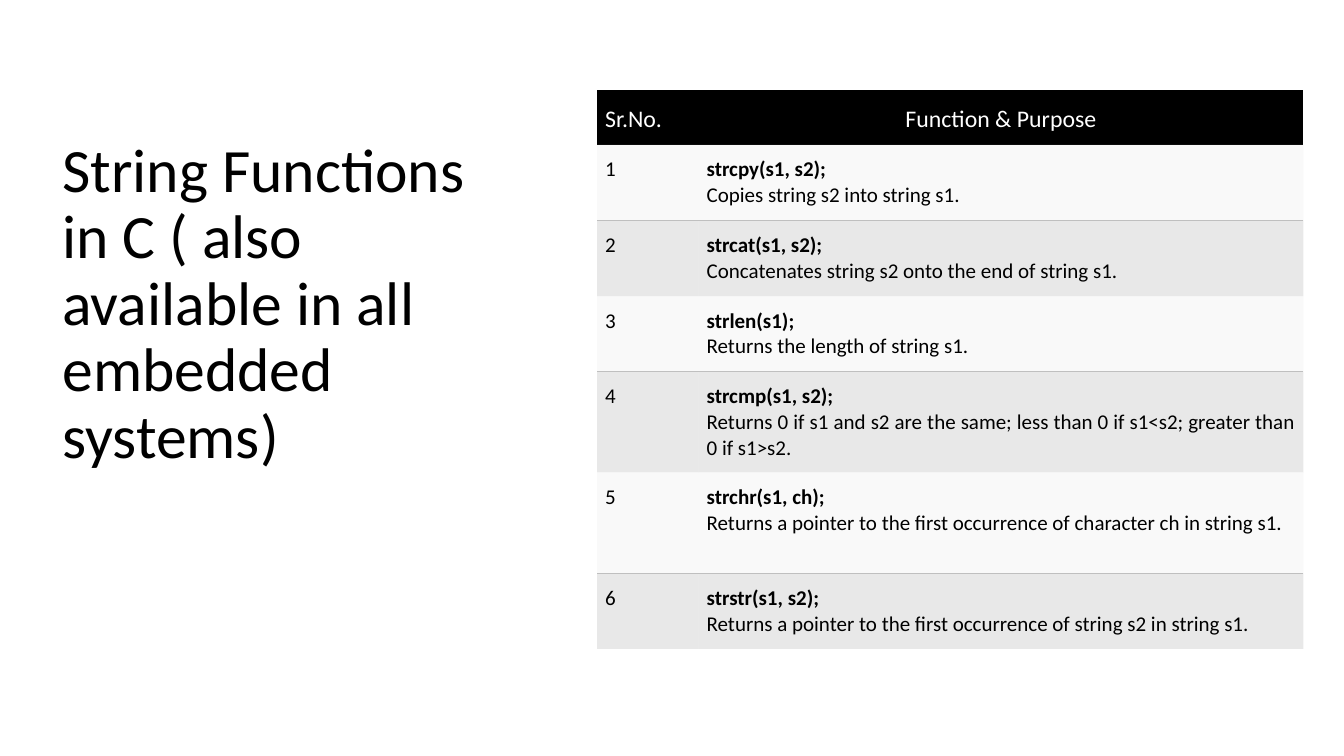
from lxml.etree import SubElement
from pptx import Presentation
from pptx.dml.color import RGBColor
from pptx.enum.text import MSO_ANCHOR as Anchor, PP_ALIGN as Align
from pptx.oxml.ns import qn
from pptx.util import Pt

COLORS = {"black": "000000", "white": "FFFFFF", "light": "F2F2F2", "gray": "BFBFBF"}
TITLE = "String Functions in C ( also available in all embedded systems)"
HEADINGS = ["Sr.No.", "Function & Purpose"]
FUNCTIONS = [
    ("strcpy(s1, s2);", "Copies string s2 into string s1."),
    ("strcat(s1, s2);", "Concatenates string s2 onto the end of string s1."),
    ("strlen(s1);", "Returns the length of string s1."),
    ("strcmp(s1, s2);", "Returns 0 if s1 and s2 are the same; less than 0 if s1<s2; greater than 0 if s1>s2."),
    ("strchr(s1, ch);", "Returns a pointer to the first occurrence of character ch in string s1."),
    ("strstr(s1, s2);", "Returns a pointer to the first occurrence of string s2 in string s1."),
]
COLUMN_WIDTHS = [72.5, 432]
ROW_HEIGHTS = [39, 54, 54, 54, 72, 72, 54]


def write_text(paragraph, text, size=15, color="black", bold=False, align=Align.LEFT, spacing=1.0):
    """Write one formatted run into a paragraph."""
    paragraph.alignment = align
    paragraph.line_spacing = spacing
    run = paragraph.add_run()
    run.text = text
    run.font.name = "Calibri"
    run.font.size = Pt(size)
    run.font.bold = bold
    run.font.color.rgb = RGBColor.from_string(COLORS[color])


def style_cell(cell, fill, opacity=100, ruled_edge=None, anchor=Anchor.TOP):
    """Set margins, borders and fill of a cell, with a gray rule on one edge."""
    cell.margin_left = cell.margin_right = cell.margin_bottom = Pt(5.8)
    cell.margin_top = Pt(8.7)
    cell.vertical_anchor = anchor
    properties = cell._tc.get_or_add_tcPr()
    for edge in ("lnL", "lnR", "lnT", "lnB"):
        line = SubElement(properties, qn(f"a:{edge}"), w=str(Pt(1)))
        if edge == ruled_edge:
            line_fill = SubElement(line, qn("a:solidFill"))
            SubElement(line_fill, qn("a:srgbClr"), val=COLORS["gray"])
        else:
            SubElement(line, qn("a:noFill"))
    cell.fill.solid()
    cell.fill.fore_color.rgb = RGBColor.from_string(COLORS[fill])
    color = properties.find(qn("a:solidFill")).find(qn("a:srgbClr"))
    SubElement(color, qn("a:alpha"), val=str(opacity * 1000))


def add_title(slide, left, top, width, height):
    """Place the slide title at the bottom of its box."""
    frame = slide.shapes.add_textbox(Pt(left), Pt(top), Pt(width), Pt(height)).text_frame
    frame.word_wrap = True
    frame.vertical_anchor = Anchor.BOTTOM
    write_text(frame.paragraphs[0], TITLE, size=44, spacing=0.9)


def add_function_table(slide, left, top):
    """Place the table of string functions with alternating row fills."""
    table = slide.shapes.add_table(
        len(ROW_HEIGHTS), len(COLUMN_WIDTHS), Pt(left), Pt(top),
        Pt(sum(COLUMN_WIDTHS)), Pt(sum(ROW_HEIGHTS))).table
    table.horz_banding = False
    for column, width in zip(table.columns, COLUMN_WIDTHS):
        column.width = Pt(width)
    for row, height in zip(table.rows, ROW_HEIGHTS):
        row.height = Pt(height)

    for column, (heading, align) in enumerate(zip(HEADINGS, (Align.LEFT, Align.CENTER))):
        cell = table.cell(0, column)
        style_cell(cell, "black", anchor=Anchor.MIDDLE)
        write_text(cell.text_frame.paragraphs[0], heading, size=17, color="white", align=align)

    for number, (signature, purpose) in enumerate(FUNCTIONS, start=1):
        number_cell, function_cell = table.cell(number, 0), table.cell(number, 1)
        band = ("light", 45, "lnB") if number % 2 else ("gray", 35, "lnT")
        for cell in (number_cell, function_cell):
            style_cell(cell, *band)
        write_text(number_cell.text_frame.paragraphs[0], str(number))
        frame = function_cell.text_frame
        write_text(frame.paragraphs[0], signature, bold=True, align=Align.JUSTIFY)
        write_text(frame.add_paragraph(), purpose, align=Align.JUSTIFY)


def main():
    """Build the slide and save the presentation."""
    presentation = Presentation()
    presentation.slide_width, presentation.slide_height = Pt(960), Pt(540)
    slide = presentation.slides.add_slide(presentation.slide_layouts[6])
    add_title(slide, 37.5, 88.5, 317, 252)
    add_function_table(slide, 426.5, 64.5)
    presentation.save("out.pptx")


if __name__ == "__main__":
    main()
